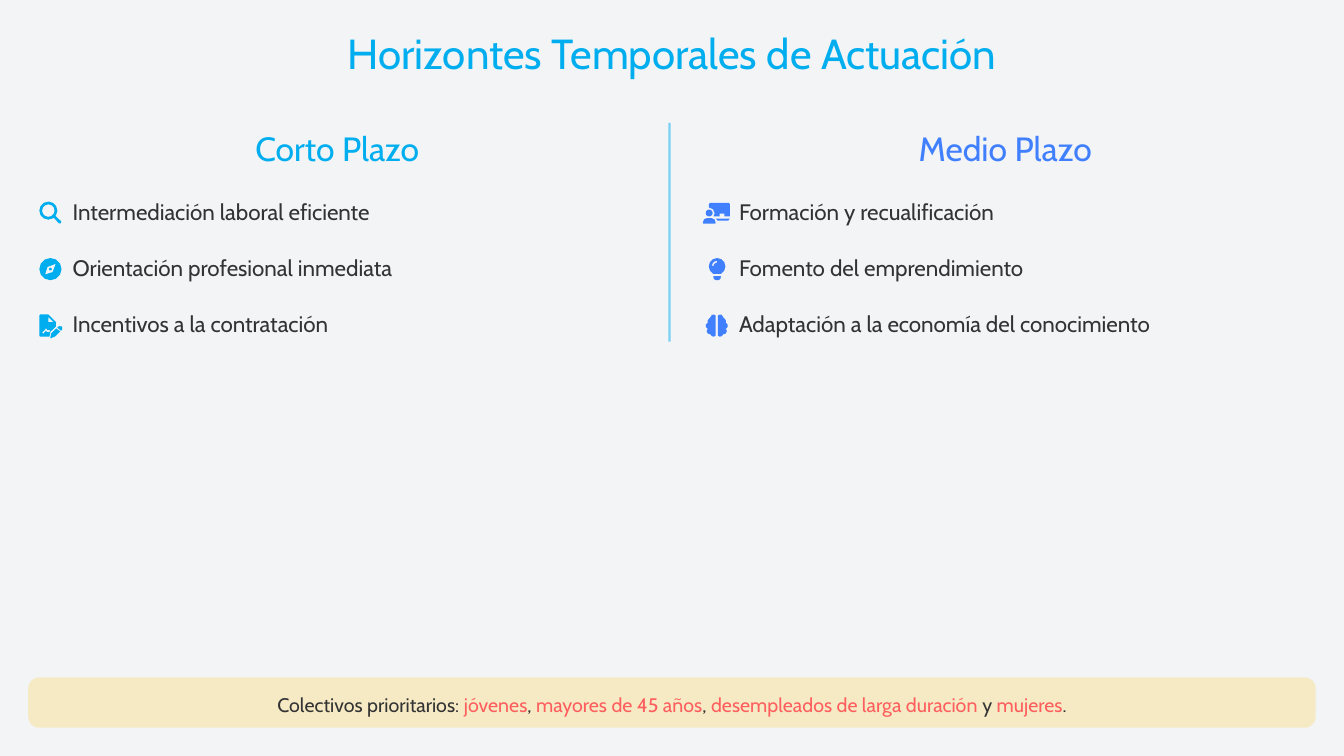
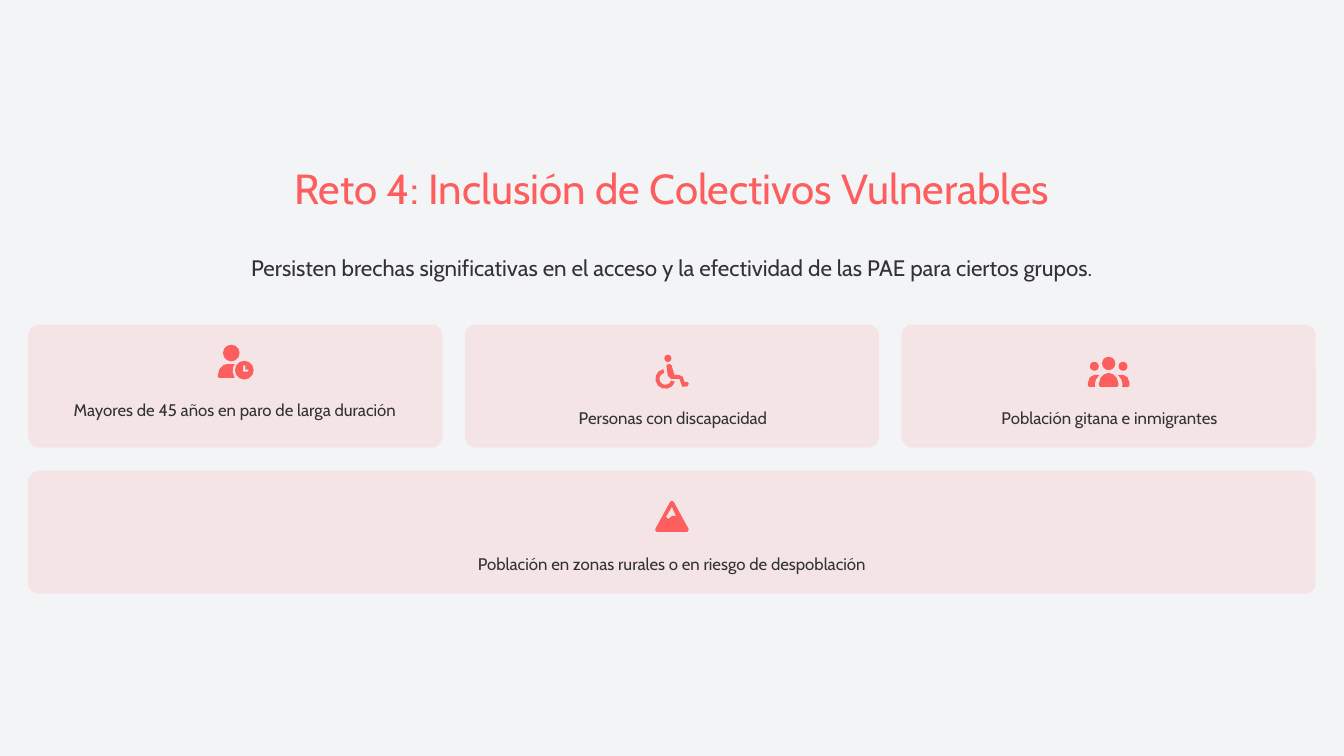
"""Build two slides on employment policy horizons and the inclusion challenge."""
import math

from lxml import etree
from pptx import Presentation
from pptx import util as u
from pptx.dml.color import RGBColor
from pptx.enum import shapes, text
from pptx.oxml import ns

FONT = "Cabin"
PAPER = RGBColor(0xF3, 0xF4, 0xF6)
CYAN = RGBColor(0x00, 0xAE, 0xEF)
BLUE = RGBColor(0x40, 0x80, 0xFF)
CORAL = RGBColor(0xFF, 0x5E, 0x5E)
AMBER = RGBColor(0xFF, 0xC2, 0x00)
INK = RGBColor(0x33, 0x33, 0x33)
LEFT, CENTER = text.PP_ALIGN.LEFT, text.PP_ALIGN.CENTER
GRID = 512


def arc(x, y, radius, start=0, stop=330):
    """Return points along a clockwise arc, by default a closed circle."""
    steps = round((stop - start) / 30)
    angles = [math.radians(start + (stop - start) * n / steps) for n in range(steps + 1)]
    return [(x + radius * math.cos(a), y + radius * math.sin(a)) for a in angles]


def write(box, spans, size, align=CENTER, spacing=None):
    """Fill a text box or placeholder with one paragraph of coloured spans."""
    frame = box.text_frame
    frame.word_wrap = True
    frame.auto_size = text.MSO_AUTO_SIZE.NONE
    frame.vertical_anchor = text.MSO_ANCHOR.MIDDLE
    frame.margin_left = frame.margin_right = frame.margin_top = frame.margin_bottom = 0
    para = frame.paragraphs[0]
    para.alignment = align
    para.line_spacing = spacing
    para.font.name = FONT
    para.font.size = u.Pt(size)
    for words, color in spans:
        span = para.add_run()
        span.text = words
        span.font.color.rgb = color


SEARCH = [
    arc(208, 208, 208), arc(208, 208, 144),
    [(372, 328), (503, 457), (500, 500), (457, 503), (328, 372)],
]
COMPASS = [
    arc(256, 256, 256),
    [(306, 325), (132, 380), (187, 206), (380, 132)],
    arc(256, 256, 32),
]
CONTRACT = [
    [(20, 0), (210, 0), (384, 174), (384, 280), (256, 400), (235, 512),
     (20, 512), (0, 492), (0, 20)],
    [(208, 58), (208, 176), (326, 176)],
    [(65, 420), (158, 320), (190, 362), (250, 362), (240, 405), (175, 405),
     (155, 375), (95, 445)],
    [(276, 438), (392, 322), (484, 392), (369, 507), (253, 553)],
    [(415, 300), (461, 270), (530, 280), (530, 345), (500, 375)],
]
TEACHER = [
    [(144, 60), (165, 30), (605, 30), (624, 55), (624, 345), (500, 345),
     (500, 276), (390, 276), (390, 345), (250, 345), (274, 270), (240, 180), (144, 136)],
    [(300, 392), (624, 392), (590, 440), (340, 440)],
    arc(149, 264, 80),
    [(0, 490), (30, 410), (90, 385), (210, 385), (270, 410), (300, 490),
     (280, 512), (20, 512)],
]
BULB = [
    arc(192, 192, 192, 150, 390) + [(280, 368), (104, 368)],
    [(104, 416), (280, 416), (270, 480), (225, 512), (160, 512), (114, 480)],
    arc(192, 184, 120, 180, 270) + arc(192, 184, 80, 180, 270)[::-1],
]
LOBE = [(112, 60), (140, 10), (190, 0), (230, 25), (230, 487), (190, 512),
        (140, 500), (112, 460), (50, 440), (23, 385), (46, 330), (5, 290),
        (5, 230), (46, 195), (46, 140), (70, 105)]
BRAIN = [LOBE, [(GRID - x, y) for x, y in LOBE]]
USER_CLOCK = [
    arc(224, 128, 128),
    [(16, 490), (16, 470), (45, 370), (110, 310), (160, 298), (275, 298),
     (250, 350), (245, 420), (275, 510), (35, 510)],
    arc(424, 392, 144),
    [(408, 320), (440, 320), (440, 384), (488, 384), (488, 416), (408, 416)],
]
WHEELCHAIR = [
    arc(192, 39, 55),
    arc(154, 354, 154, 17, 258) + arc(154, 354, 92, 17, 258)[::-1],
    [(169, 154), (200, 125), (246, 138), (292, 292), (360, 292), (422, 323),
     (446, 400), (492, 400), (514, 430), (492, 470), (415, 477), (369, 354),
     (238, 354), (192, 308)],
]
SIDE_BODY = [(0, 415), (30, 330), (100, 292), (140, 292), (175, 300),
             (125, 360), (108, 430), (112, 476), (20, 476), (0, 460)]
PEOPLE = [
    arc(320, 118, 103), arc(99, 161, 69), arc(541, 161, 69),
    SIDE_BODY, [(640 - x, y) for x, y in SIDE_BODY],
    [(169, 455), (169, 430), (195, 340), (250, 285), (320, 262), (390, 285),
     (445, 340), (471, 430), (471, 455), (450, 476), (190, 476)],
]
MOUNTAIN = [
    [(230, 10), (256, 0), (282, 10), (512, 430), (510, 460), (485, 477),
     (27, 477), (2, 460), (0, 430)],
    [(256, 92), (162, 246), (200, 277), (256, 231), (318, 231)],
]

deck = Presentation()
deck.slide_width, deck.slide_height = u.Inches(13.33), u.Inches(7.5)
backdrop = deck.slide_master.background.fill
backdrop.solid()
backdrop.fore_color.rgb = PAPER

pages = []
for heading, top, color in [
    ("Horizontes Temporales de Actuación", 0.27, CYAN),
    ("Reto 4: Inclusión de Colectivos Vulnerables", 1.61, CORAL),
]:
    page = deck.slides.add_slide(deck.slide_layouts[5])
    title = page.shapes.title
    title.left, title.top = 0, u.Inches(top)
    title.width, title.height = deck.slide_width, u.Inches(0.5)
    write(title, [(heading, color)], 30)
    pages.append(page)
horizons, inclusion = pages

labels = []
panels = []
icons = []

divider = horizons.shapes.add_connector(
    shapes.MSO_CONNECTOR.STRAIGHT,
    u.Inches(6.64), u.Inches(1.22), u.Inches(6.64), u.Inches(3.39))
divider.line.color.rgb = CYAN
divider.line.width = u.Pt(1.6)
etree.SubElement(divider._element.spPr, ns.qn("a:effectLst"))

for heading, color, left, width, text_left, text_width, measures in [
    ("Corto Plazo", CYAN, 0, 6.69, 0.72, 6.25, [
        ("Intermediación laboral eficiente", SEARCH, 0.39),
        ("Orientación profesional inmediata", COMPASS, 0.39),
        ("Incentivos a la contratación", CONTRACT, 0.39)]),
    ("Medio Plazo", BLUE, 6.61, 6.72, 7.33, 6, [
        ("Formación y recualificación", TEACHER, 6.97),
        ("Fomento del emprendimiento", BULB, 7.03),
        ("Adaptación a la economía del conocimiento", BRAIN, 7)]),
]:
    labels.append((horizons, (left, 1.23, width, 0.44), [(heading, color)], 24,
                   CENTER, 1.1))
    for row, (measure, icon, icon_left) in enumerate(measures):
        offset = row * 0.56
        labels.append((horizons, (text_left, 1.89 + offset, text_width, 0.33),
                       [(measure, INK)], 16, LEFT, 1.3))
        icons.append((horizons, icon, icon_left, 2 + offset, 0.22, color))

panels.append((horizons, (0.28, 6.72, 12.77, 0.5), AMBER, 20))
labels.append((horizons, (0.39, 6.83, 12.55, 0.28), [
    ("Colectivos prioritarios: ", INK), ("jóvenes", CORAL), (", ", INK),
    ("mayores de 45 años", CORAL), (", ", INK),
    ("desempleados de larga duración", CORAL), (" y ", INK),
    ("mujeres", CORAL), (".", INK)], 14, CENTER, 1.2))

labels.append((inclusion, (0, 2.45, 13.33, 0.33), [
    ("Persisten brechas significativas en el acceso y la efectividad de las PAE "
     "para ciertos grupos.", INK)], 16, CENTER, 1.3))
for group, column, top, width, icon, icon_left, icon_top, label in [
    ("Mayores de 45 años en paro de larga duración", 0, 3.22, 4.11,
     USER_CLOCK, 2.15, 3.42, (0.44, 3.84, 3.78, 0.44)),
    ("Personas con discapacidad", 1, 3.22, 4.11,
     WHEELCHAIR, 6.5, 3.53, (5.27, 4.02, 2.81, 0.22)),
    ("Población gitana e inmigrantes", 2, 3.22, 4.11,
     PEOPLE, 10.79, 3.53, (9.42, 4.02, 3.17, 0.22)),
    ("Población en zonas rurales o en riesgo de despoblación", 0, 4.67, 12.77,
     MOUNTAIN, 6.5, 4.97, (4.06, 5.47, 5.21, 0.22)),
]:
    panels.append((inclusion, (0.28 + column * 4.33, top, width, 1.22), CORAL, 10))
    labels.append((inclusion, label, [(group, INK)], 12, CENTER, 1.1))
    icons.append((inclusion, icon, icon_left, icon_top, 0.33, CORAL))

painted = []
for page, place, color, opacity in panels:
    panel = page.shapes.add_shape(
        shapes.MSO_SHAPE.ROUNDED_RECTANGLE, *map(u.Inches, place))
    panel.adjustments[0] = 0.11 / place[3]
    painted.append((panel, color, opacity))

for page, icon, left, top, height, color in icons:
    outline = page.shapes.build_freeform(*icon[0][0], scale=u.Inches(height) / GRID)
    for contour in icon:
        outline.move_to(*contour[0])
        outline.add_line_segments(contour[1:])
    symbol = outline.convert_to_shape(u.Inches(left), u.Inches(top))
    painted.append((symbol, color, 100))

for shape, color, opacity in painted:
    shape.shadow.inherit = False
    shape.line.fill.background()
    shape.fill.solid()
    shape.fill.fore_color.rgb = color

for fill, opacity in [(divider.line.fill, 50)] + [
        (shape.fill, opacity) for shape, _, opacity in painted if opacity < 100]:
    tone = fill._xPr.find(".//" + ns.qn("a:srgbClr"))
    etree.SubElement(tone, ns.qn("a:alpha"), val=str(opacity * 1000))

for page, place, spans, size, align, spacing in labels:
    write(page.shapes.add_textbox(*map(u.Inches, place)), spans, size, align, spacing)

deck.save("out.pptx")
